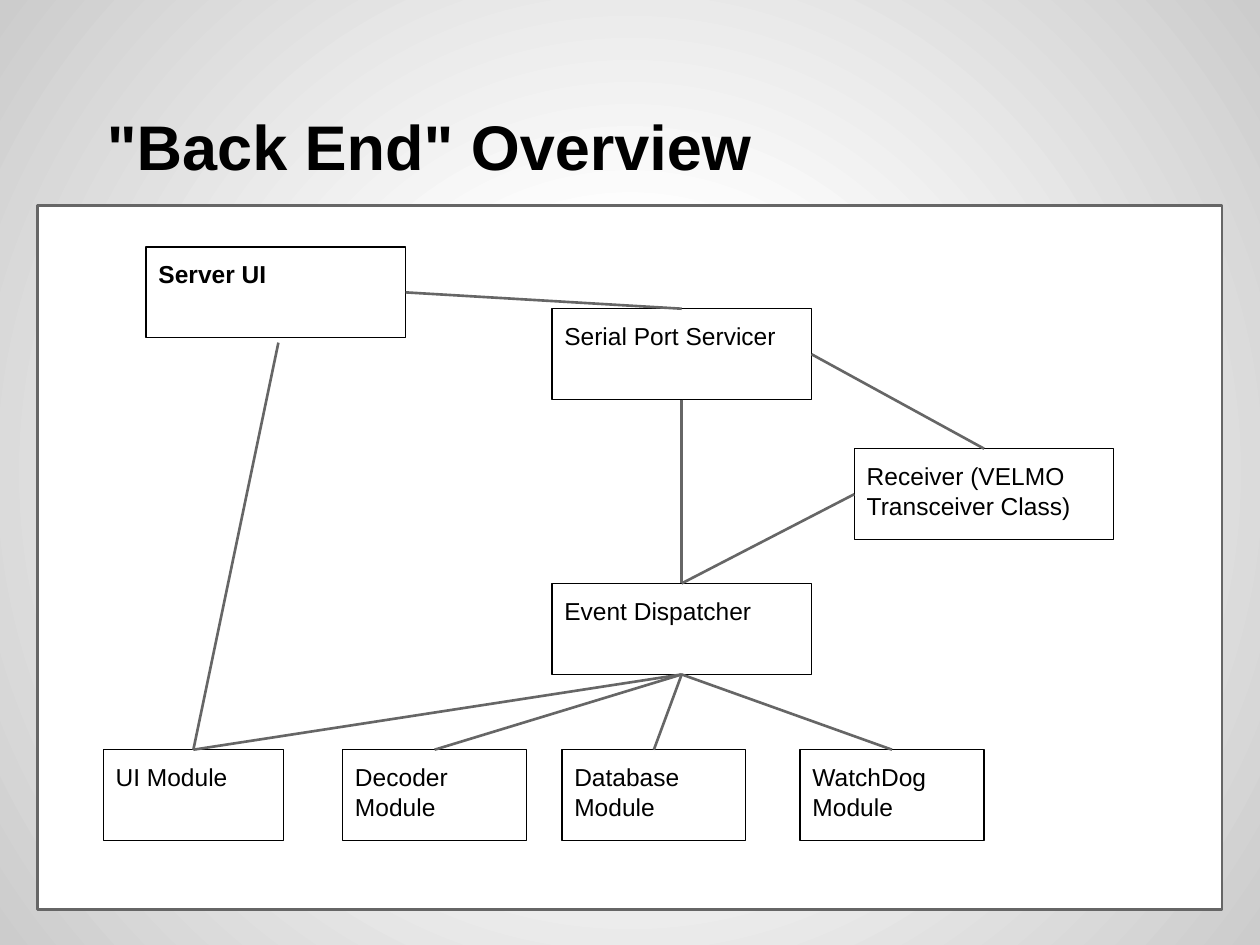
from pptx import Presentation
from pptx import oxml
from pptx.dml.color import RGBColor
from pptx.enum import shapes, text
from pptx.oxml import ns
from pptx.util import Pt
from lxml import etree

COLORS = {"ink": "000000", "line": "666666", "panel": "FFFFFF", "edge": "CCCCCC"}
FONT = "Arial"
INSET = 7.2
BOX_HEIGHT = 52
WIDE = 148.3
MODULE_TOP = 311
TOP, LEFT, BOTTOM, RIGHT = range(4)  # connection sites of a rectangle

# name: (label, left, top, width, bold), relative to the panel
COMPONENTS = {
    "serial": ("Serial Port Servicer", 293.8, 59, WIDE, False),
    "receiver": ("Receiver (VELMO Transceiver Class)", 466.6, 139, WIDE, False),
    "dispatcher": ("Event Dispatcher", 293.8, 216, WIDE, False),
    "decoder": ("Decoder Module", 174.2, MODULE_TOP, 105.1, False),
    "ui": ("UI Module", 37.4, MODULE_TOP, 103, False),
    "database": ("Database Module", 299.5, MODULE_TOP, 105.1, False),
    "watchdog": ("WatchDog Module", 435.6, MODULE_TOP, 105.1, False),
    "server": ("Server UI", 61.9, 23.7, WIDE, True),
}
LINKS = [
    ("serial", RIGHT, "receiver", TOP),
    ("receiver", LEFT, "dispatcher", TOP),
    ("serial", BOTTOM, "dispatcher", TOP),
    ("server", RIGHT, "serial", TOP),
] + [("dispatcher", BOTTOM, module, TOP)
     for module in ("ui", "decoder", "database", "watchdog")]


def color(name):
    return RGBColor.from_string(COLORS[name])


def paint_background(slide):
    slide.background.fill.gradient()
    gradient = slide.background._cSld.find(".//" + ns.qn("a:gradFill"))
    stops = "".join(
        f'<a:gs pos="{position * 1000}"><a:srgbClr val="{COLORS[name]}"/></a:gs>'
        for position, name in ((0, "panel"), (30, "panel"), (100, "edge")))
    radial = oxml.parse_xml(
        f'<a:gradFill {ns.nsdecls("a")} rotWithShape="1"><a:gsLst>{stops}</a:gsLst>'
        '<a:path path="circle"><a:fillToRect l="50000" t="50000" r="50000" b="50000"/>'
        '</a:path></a:gradFill>')
    gradient.getparent().replace(gradient, radial)


def write(frame, words, size, bold, anchor):
    frame.word_wrap = True
    frame.vertical_anchor = anchor
    frame.margin_left = frame.margin_right = Pt(INSET)
    frame.margin_top = frame.margin_bottom = Pt(INSET)
    paragraph = frame.paragraphs[0]
    paragraph.alignment = text.PP_ALIGN.LEFT
    run = paragraph.add_run()
    run.text = words
    run.font.name, run.font.size, run.font.bold = FONT, Pt(size), bold
    run.font.color.rgb = color("ink")
    return paragraph


def add_title(slide, left, top, width, height):
    title = slide.shapes.add_textbox(Pt(left), Pt(top), Pt(width), Pt(height))
    paragraph = write(title.text_frame, '"Back End" Overview', 36, True,
                      text.MSO_ANCHOR.BOTTOM)
    properties = paragraph._p.get_or_add_pPr()
    properties.set("marL", "0")
    properties.set("indent", str(Pt(18)))


def add_box(slide, left, top, width, height, line, weight, fill=None):
    box = slide.shapes.add_shape(shapes.MSO_SHAPE.RECTANGLE,
                                 Pt(left), Pt(top), Pt(width), Pt(height))
    box.shadow.inherit = False
    if fill:
        box.fill.solid()
        box.fill.fore_color.rgb = color(fill)
    else:
        box.fill.background()
    box.line.color.rgb = color(line)
    box.line.width = Pt(weight)
    return box


def add_link(slide, x1=0, y1=0, x2=0, y2=0):
    link = slide.shapes.add_connector(shapes.MSO_CONNECTOR.STRAIGHT,
                                      Pt(x1), Pt(y1), Pt(x2), Pt(y2))
    link.line.color.rgb = color("line")
    link.line.width = Pt(1.5)
    etree.SubElement(link._element.spPr, ns.qn("a:effectLst"))
    return link


def add_diagram(slide, left, top, width, height):
    add_box(slide, left, top, width, height, "line", 1.5, "panel")
    boxes = {}
    for name, (label, x, y, box_width, bold) in COMPONENTS.items():
        boxes[name] = add_box(slide, left + x, top + y, box_width, BOX_HEIGHT,
                              "ink", 0.75)
        write(boxes[name].text_frame, label, 14, bold, text.MSO_ANCHOR.TOP)
    for start, start_site, end, end_site in LINKS:
        link = add_link(slide)
        link.begin_connect(boxes[start], start_site)
        link.end_connect(boxes[end], end_site)
    # This link starts slightly below the Server UI box
    server_link = add_link(slide, left + 137.5, top + 78.4)
    server_link.end_connect(boxes["ui"], TOP)


def main():
    deck = Presentation()
    deck.slide_width, deck.slide_height = Pt(720), Pt(540)
    slide = deck.slides.add_slide(deck.slide_layouts[6])
    paint_background(slide)
    add_title(slide, 36, 21.6, 648, 90)
    add_diagram(slide, 21.6, 117.4, 676.8, 402.5)
    deck.save("out.pptx")


if __name__ == "__main__":
    main()
